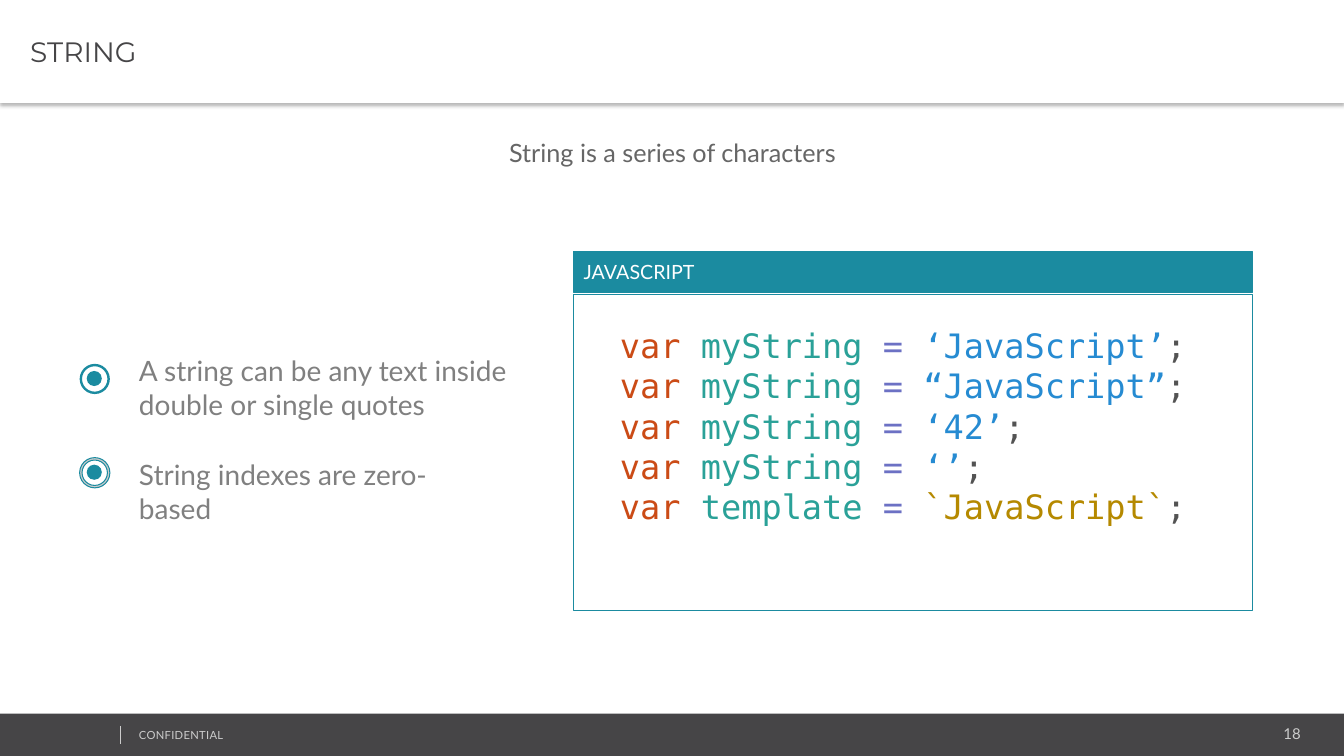
from dataclasses import dataclass

from lxml import etree
from pptx import Presentation
from pptx import util as u
from pptx.dml.color import RGBColor
from pptx.enum import shapes, text
from pptx.oxml import parse_xml
from pptx.oxml.ns import nsdecls, qn

SHAPE = shapes.MSO_SHAPE
ALIGN = text.PP_ALIGN
ANCHOR = text.MSO_ANCHOR


@dataclass(frozen=True)
class Theme:
    # Colours
    white: str = "FFFFFF"
    dark: str = "464547"
    teal: str = "1B8BA0"
    pale: str = "CCCCCC"
    lead: str = "666666"
    body: str = "808080"
    keyword: str = "CB4B16"
    variable: str = "2AA198"
    operator: str = "6C71C4"
    string: str = "268BD2"
    template: str = "B58900"
    mark: str = "535353"
    # Fonts and type sizes
    sans: str = "Lato"
    heading: str = "Montserrat"
    mono: str = "DejaVu Sans Mono"
    title_size: float = 20
    lead_size: float = 18
    body_size: float = 20
    code_size: float = 24
    label_size: float = 14
    number_size: float = 10.7
    footer_size: float = 8


def write(tf, paragraphs, size, font, color=None, align=ALIGN.LEFT,
          anchor=ANCHOR.TOP, insets=(0.1, 0.05, 0.1, 0.05), spacing=None):
    """Fill a frame; each paragraph is a string or a list of (text, colour) runs."""
    tf.word_wrap = True
    tf.auto_size = text.MSO_AUTO_SIZE.NONE
    tf.vertical_anchor = anchor
    tf.margin_left, tf.margin_top, tf.margin_right, tf.margin_bottom = map(u.Inches, insets)
    for i, runs in enumerate(paragraphs):
        p = tf.add_paragraph() if i else tf.paragraphs[0]
        p.alignment = align
        for words, run_color in [(runs, color)] if isinstance(runs, str) else runs:
            r = p.add_run()
            r.text = words
            r.font.size, r.font.name = u.Pt(size), font
            r.font.color.rgb = RGBColor.from_string(run_color)
            if spacing:
                r.font._element.set("spc", str(round(spacing * 100)))


class SlideBuilder:
    def __init__(self, prs, theme):
        self.theme = theme
        self.slide = prs.slides.add_slide(prs.slide_layouts[5])

    def title(self, words, box):
        t, sp = self.theme, self.slide.shapes.title
        sp.left, sp.top, sp.width, sp.height = map(u.Inches, box)
        sp.fill.solid()
        sp.fill.fore_color.rgb = RGBColor.from_string(t.white)
        write(sp.text_frame, [words], t.title_size, t.heading, t.dark,
              anchor=ANCHOR.MIDDLE, insets=(0.3, 0.04, 0.07, 0.04))
        sp._element.spPr.append(parse_xml(
            f'<a:effectLst {nsdecls("a")}>'
            f'<a:outerShdw blurRad="{u.Pt(3.1)}" dist="{u.Pt(2)}" dir="5400000" rotWithShape="0">'
            '<a:srgbClr val="000000"><a:alpha val="30000"/></a:srgbClr>'
            '</a:outerShdw></a:effectLst>'))

    def shape(self, kind, box, fill=None, line=None, weight=0.75):
        sp = self.slide.shapes.add_shape(kind, *map(u.Inches, box))
        sp.shadow.inherit = False
        if fill:
            sp.fill.solid()
            sp.fill.fore_color.rgb = RGBColor.from_string(fill)
        else:
            sp.fill.background()
        if line:
            sp.line.color.rgb = RGBColor.from_string(line)
            sp.line.width = u.Pt(weight)
        else:
            sp.line.fill.background()
        return sp

    def text(self, paragraphs, box, size, font, **style):
        sp = self.slide.shapes.add_textbox(*map(u.Inches, box))
        write(sp.text_frame, paragraphs, size, font, **style)

    def line(self, x1, y1, x2, y2, color, weight):
        ends = map(u.Inches, (x1, y1, x2, y2))
        cx = self.slide.shapes.add_connector(shapes.MSO_CONNECTOR.STRAIGHT, *ends)
        cx.line.color.rgb = RGBColor.from_string(color)
        cx.line.width = u.Pt(weight)
        etree.SubElement(cx._element.spPr, qn("a:effectLst"))

    def bullet(self, words, box, ring_top, ring_fill, ring_line=None):
        t = self.theme
        self.text([words], box, t.body_size, t.sans, color=t.body)
        self.shape(SHAPE.OVAL, (0.86, ring_top + 0.07, 0.15, 0.15), t.teal)
        ring = self.shape(SHAPE.DONUT, (0.79, ring_top, 0.3, 0.3), ring_fill, ring_line)
        ring.adjustments[0] = 0.08

    def code_panel(self, label, lines):
        t = self.theme
        left, width = 5.69, 6.73
        self.shape(SHAPE.RECTANGLE, (left, 2.92, width, 3.14), line=t.teal, weight=0.5)
        header = self.shape(SHAPE.RECTANGLE, (left, 2.5, width, 0.4), t.teal, t.teal)
        write(header.text_frame, [label], t.label_size, t.sans, t.white, anchor=ANCHOR.MIDDLE)
        self.text(lines, (6.05, 2.76, 6.08, 3.33), t.code_size, t.mono,
                  anchor=ANCHOR.MIDDLE, insets=(0.1, 0.05, 0.1, 0.45))

    def footer(self, notice, number):
        t = self.theme
        self.shape(SHAPE.RECTANGLE, (0, 7.08, 13.33, 0.42), t.dark)
        self.text([number], (10.82, 7.14, 2.18, 0.28), t.number_size, t.sans,
                  color=t.pale, align=ALIGN.RIGHT)
        self.text([notice], (1.28, 7.18, 3.38, 0.24), t.footer_size, t.sans,
                  color=t.pale, spacing=0.2)
        self.line(1.19, 7.2, 1.19, 7.38, t.pale, 0.25)


def main():
    prs = Presentation()
    prs.slide_width, prs.slide_height = u.Inches(13.33), u.Inches(7.5)
    t = Theme()
    s = SlideBuilder(prs, t)

    # Title band and footer
    s.title("STRING", (0, 0, 13.33, 1.02))
    s.footer("CONFIDENTIAL", "18")

    # Lead sentence
    s.text(["String is a series of characters"], (4.8, 1.31, 3.74, 0.4),
           t.lead_size, t.sans, color=t.lead, align=ALIGN.CENTER)

    # Bullet points
    s.bullet("A string can be any text inside double or single quotes",
             (1.28, 3.46, 4.02, 0.77), 3.61, t.teal)
    s.bullet("String indexes are zero-based",
             (1.28, 4.49, 3.54, 0.44), 4.54, t.pale, t.teal)

    # Code sample
    samples = [
        ("myString", "‘JavaScript’", t.string),
        ("myString", "“JavaScript”", t.string),
        ("myString", "‘42’", t.string),
        ("myString", "‘’", t.string),
        ("template", "`JavaScript`", t.template),
    ]
    s.code_panel("JAVASCRIPT", [
        [("var ", t.keyword), (f"{name} ", t.variable), ("= ", t.operator),
         (value, color), (";", t.mark)]
        for name, value, color in samples])

    prs.save("out.pptx")


if __name__ == "__main__":
    main()
